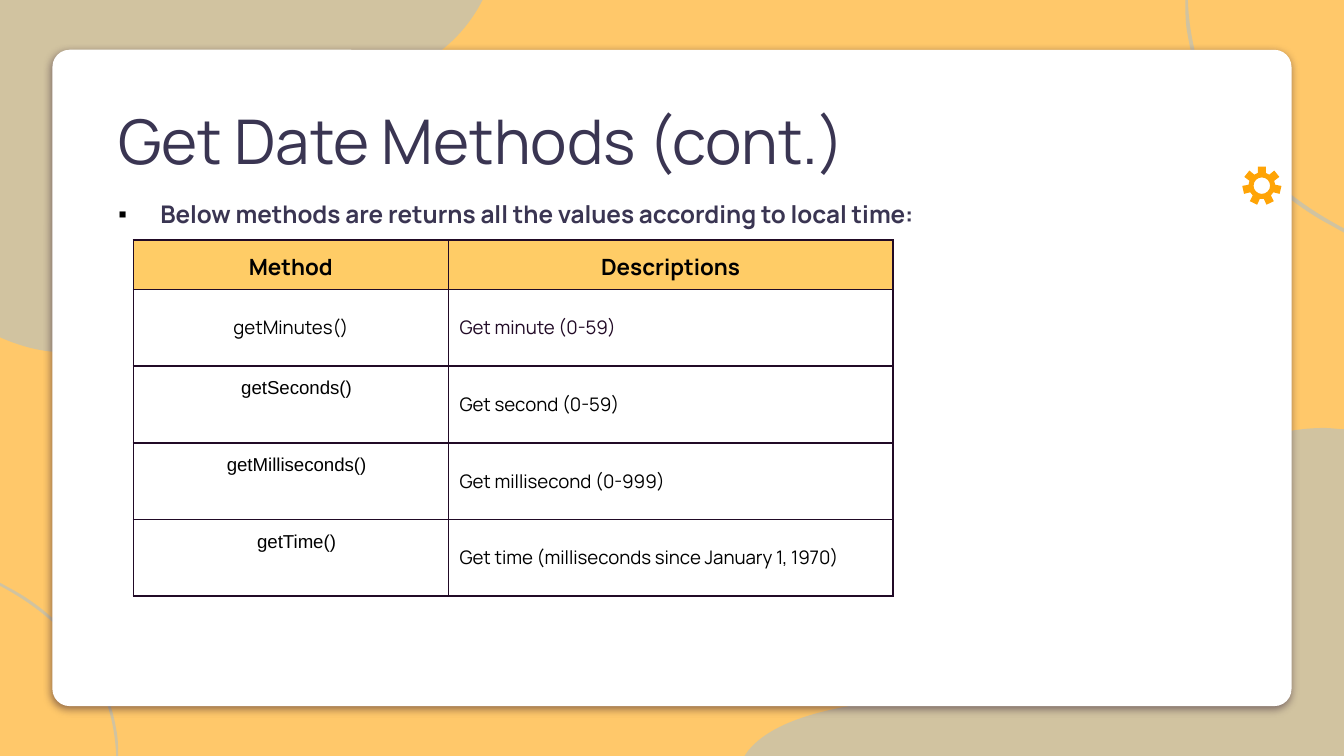
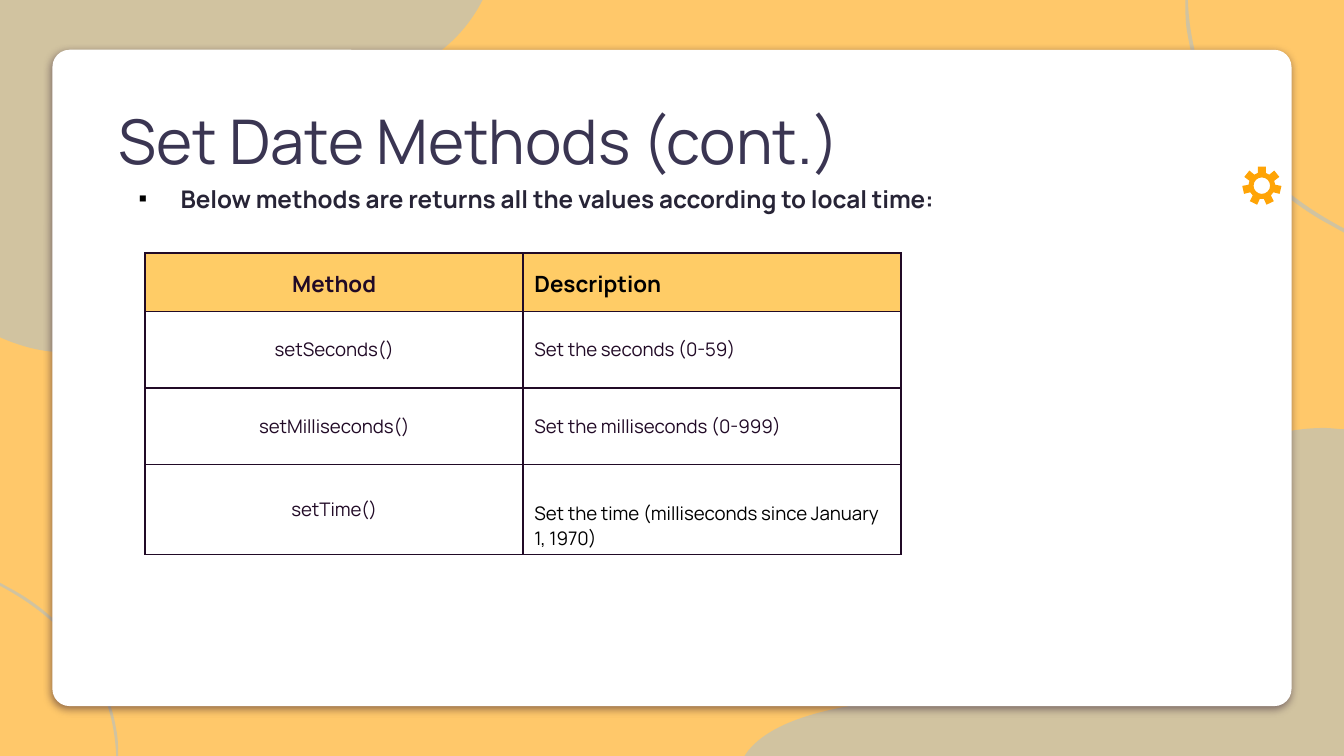
from math import cos, radians, sin

from lxml import etree
from pptx import Presentation
from pptx.dml.color import RGBColor
from pptx.enum.shapes import MSO_SHAPE
from pptx.enum.text import MSO_ANCHOR, MSO_AUTO_SIZE, PP_ALIGN
from pptx.oxml.ns import qn
from pptx.util import Pt

ROUND = MSO_SHAPE.ROUNDED_RECTANGLE
TOP, MIDDLE = MSO_ANCHOR.TOP, MSO_ANCHOR.MIDDLE
LEFT, CENTER = PP_ALIGN.LEFT, PP_ALIGN.CENTER
FIXED, GROW = MSO_AUTO_SIZE.NONE, MSO_AUTO_SIZE.SHAPE_TO_FIT_TEXT

SAND, BLUE, WHITE, BLACK = "FFC86A", "A0BFDB", "FFFFFF", "000000"
GOLD, ORANGE, INK, PLUM, DARK = "FFCC66", "FFA406", "3A3552", "210A26", "272436"
FONT = "Manrope"
WIDE, HIGH = 720, 405

# Outlines in points: two numbers make a line, six make a curve
RING = [(1.4, 0), (2.2, 25.9, 10.8, 52.6, 25.9, 73.4),
        (41.8, 94.3, 61.9, 110.2, 85, 122.4), (85, 124.6),
        (82.1, 123.1, 79.9, 121.7, 77, 120.2),
        (58.3, 110.2, 41.8, 95.8, 28.1, 79.2),
        (14.4, 61.9, 5, 41, 1.4, 19.4), (0, 13, 0, 6.5, 0, 0)]
CLOUD = [(32.4, 188.6), (16.6, 188.6, 0, 180.7, 0, 180.7), (0, 0), (258.5, 0),
         (225.4, 65.5, 123.1, 52.6, 80.6, 65.5),
         (38.2, 78.5, 85, 141.1, 61.9, 174.2),
         (54, 185.8, 43.2, 188.6, 32.4, 188.6)]
HILL = [(0, 175.7), (11.5, 157, 50.4, 144.7, 113.8, 144.7),
        (116, 144.7, 118.1, 144.7, 121, 144.7),
        (121.7, 144.7, 122.4, 144.7, 123.1, 144.7),
        (218.2, 144.7, 177.8, 61.2, 248.4, 17.3),
        (267.1, 5.8, 292.3, 0, 310.3, 0),
        (314.6, 0, 318.2, 0.7, 321.1, 0.7), (321.1, 175.7)]


def hue(code):
    return RGBColor.from_string(code)


def node(parent, tag, **attrs):
    """Append a DrawingML element."""
    item = etree.SubElement(parent, qn("a:" + tag))
    for key, value in attrs.items():
        item.set(key, str(value))
    return item


def paint(shape, code, alpha=None):
    shape.shadow.inherit = False
    shape.fill.solid()
    shape.fill.fore_color.rgb = hue(code)
    shape.line.fill.background()
    if alpha:
        clr = shape.element.spPr.find(".//" + qn("a:srgbClr"))
        node(clr, "alpha", val=alpha * 1000)


def style(para, size, code, bold=False, font=FONT):
    for run in para.runs:
        run.font.name, run.font.size, run.font.bold = font, Pt(size), bold
        run.font.color.rgb = hue(code)


def place(shape, box):
    shape.left, shape.top, shape.width, shape.height = map(Pt, box)


def bend(shape, loops):
    """Join the three lines that stand for a curve into one."""
    lines = iter(list(shape.element.spPr.iter(qn("a:lnTo"))))
    for part in (part for loop in loops for part in loop[1:]):
        first = next(lines)
        if len(part) == 6:
            first.tag = qn("a:cubicBezTo")
            for _ in range(2):
                line = next(lines)
                first.append(line[0])
                line.getparent().remove(line)


def draw(slide, loops, x, y, scale=1):
    """Draw closed loops with their origin at x, y."""
    def dots(part):
        return [(Pt(x + scale * a), Pt(y + scale * b))
                for a, b in zip(part[::2], part[1::2])]

    pen = None
    for loop in loops:
        start = dots(loop[0])[0]
        if pen:
            pen.move_to(*start)
        else:
            pen = slide.shapes.build_freeform(*start, scale=1.0)
        pen.add_line_segments([dot for part in loop[1:] for dot in dots(part)],
                              close=True)
    shape = pen.convert_to_shape()
    bend(shape, loops)
    return shape


def frame(slide, box):
    """Build the shared backdrop and move it to the layout."""
    x, y, w, h = box
    layout = slide.slide_layout
    layout.background.fill.solid()
    layout.background.fill.fore_color.rgb = hue(SAND)

    # Corner waves; the lower ring is the upper one turned and reduced
    parts = [draw(slide, [RING], x + w - 85, y),
             draw(slide, [CLOUD], x, y),
             draw(slide, [HILL], x + w - 321.1, y + h - 175.7),
             draw(slide, [RING], x + 63.3, y + h, -0.745)]
    for part in parts:
        paint(part, BLUE, 48)

    # White card with a soft shadow
    card = slide.shapes.add_shape(ROUND, Pt(x + 28.1), Pt(y + 26.7),
                                  Pt(w - 56.2), Pt(351.6))
    card.adjustments[0] = 0.026
    paint(card, WHITE)
    glow = node(card.element.spPr.find(qn("a:effectLst")), "outerShdw",
                blurRad=Pt(4.5), dist=Pt(1.5), dir=5400000,
                algn="bl", rotWithShape=0)
    node(node(glow, "srgbClr", val=PLUM), "alpha", val=50000)

    for i, part in enumerate(parts + [card]):
        part.element.nvSpPr.cNvPr.set("id", str(20 + i))
        layout.shapes.element.insert(2 + i, part.element)


def gear(slide, box):
    x, y, size = box
    mid = size / 2

    def spot(r, deg):
        return mid + mid * r * sin(radians(deg)), mid - mid * r * cos(radians(deg))

    teeth = [spot(r, k * 360 / 7 + deg) for k in range(7)
             for r, deg in ((0.68, -17), (1, -12), (1, 12), (0.68, 17))]
    # Four quarter curves, run against the teeth
    hole = [spot(0.42, 0)]
    for deg in (0, -90, -180, -270):
        hole.append(spot(0.48, deg - 28.9) + spot(0.48, deg - 61.1)
                    + spot(0.42, deg - 90))
    paint(draw(slide, [hole, teeth], x, y), ORANGE)


def head(slide, box, text):
    title = slide.shapes.title
    place(title, box)
    frame = title.text_frame
    frame.text = text
    frame.word_wrap, frame.auto_size = True, FIXED
    frame.vertical_anchor = TOP
    frame.margin_left = frame.margin_right = Pt(7.2)
    frame.margin_top = frame.margin_bottom = Pt(7.2)
    para = frame.paragraphs[0]
    para.alignment, para.line_spacing = LEFT, 1.15
    style(para, 33, INK)


def lead(slide, box, text, code, gap):
    """Fill the body placeholder with one bullet."""
    body = slide.placeholders[1]
    place(body, box)
    frame = body.text_frame
    frame.text = text
    frame.word_wrap, frame.auto_size = True, GROW
    frame.vertical_anchor = TOP
    para = frame.paragraphs[0]
    para.line_spacing, para.space_before = gap, Pt(0)
    style(para, 13, code, True)
    props = para._p.get_or_add_pPr()
    props.set("marL", str(Pt(22.5)))
    props.set("indent", str(Pt(-22.5)))
    node(node(props, "buClr"), "srgbClr", val=BLACK)
    node(props, "buFont", typeface="Arial")
    node(props, "buChar", char="▪")


def edge(cell):
    props = cell._tc.get_or_add_tcPr()
    for side in ("lnL", "lnR", "lnT", "lnB"):
        line = node(props, side, w=Pt(1))
        node(node(line, "solidFill"), "srgbClr", val=PLUM)


def fill(cell, text, size=10, code=BLACK, bold=False, font=FONT, align=LEFT,
         anchor=MIDDLE, pad=(6, 8.5, 6, 8.5), back=WHITE):
    edge(cell)
    cell.fill.solid()
    cell.fill.fore_color.rgb = hue(back)
    cell.vertical_anchor = anchor
    (cell.margin_left, cell.margin_top,
     cell.margin_right, cell.margin_bottom) = map(Pt, pad)
    cell.text = text
    para = cell.text_frame.paragraphs[0]
    para.alignment = align
    style(para, size, code, bold, font)


def grid(slide, box, cols, high, rows):
    """Each cell is a text and the looks that differ from the usual."""
    x, y = box
    table = slide.shapes.add_table(len(rows), len(cols), Pt(x), Pt(y),
                                   Pt(sum(cols)), Pt(sum(high))).table
    table.horz_banding = False
    for i, size in enumerate(cols):
        table.columns[i].width = Pt(size)
    for i, row in enumerate(rows):
        table.rows[i].height = Pt(high[i])
        for j, (text, looks) in enumerate(row):
            fill(table.cell(i, j), text, **looks)


# Looks of table cells
TOPIC = dict(size=12, bold=True, back=GOLD)
MIDTOP = dict(TOPIC, align=CENTER)
NAME = dict(align=CENTER)
TINT = dict(code=PLUM)
CALL = dict(NAME, code=PLUM)
PLAIN = dict(NAME, font="Arial", anchor=TOP, pad=(12, 6.3, 6, 6))
LOW = dict(anchor=TOP, pad=(6, 19.5, 6, 1))

GETS = [
    [("Method", dict(MIDTOP, pad=(2, 6, 2, 6))),
     ("Descriptions", dict(MIDTOP, pad=(6, 6, 6, 6)))],
    [("getMinutes()", NAME), ("Get minute (0-59)", TINT)],
    [("getSeconds()", PLAIN), ("Get second (0-59)", {})],
    [("getMilliseconds()", PLAIN), ("Get millisecond (0-999)", {})],
    [("getTime()", PLAIN),
     ("Get time (milliseconds since January 1, 1970)", {})],
]
SETS = [
    [("Method", dict(MIDTOP, code=PLUM)), ("Description", TOPIC)],
    [("setSeconds()", CALL), ("Set the seconds (0-59)", TINT)],
    [("setMilliseconds()", CALL), ("Set the milliseconds (0-999)", TINT)],
    [("setTime()", CALL),
     ("Set the time (milliseconds since January 1, 1970)", LOW)],
]
NOTE = "Below methods are returns all the values according to local time:"


def page(slide, title, note, table):
    gear(slide, (665.5, 89, 21))
    head(slide, (56.2, 42.2, 538.6, 56.2), title)
    lead(slide, *note)
    grid(slide, *table)


def main():
    deck = Presentation()
    deck.slide_width, deck.slide_height = Pt(WIDE), Pt(HIGH)
    layout = deck.slide_layouts[1]
    first, second = [deck.slides.add_slide(layout) for _ in range(2)]
    frame(first, (0, 0, WIDE, HIGH))
    page(first, "Get Date Methods (cont.)",
         ((56.2, 95.5, 559.4, 28.8), NOTE, INK, 1.5),
         ((71.5, 128.7), (168.7, 238.2), [26] + [41.1] * 4, GETS))
    page(second, "Set Date Methods (cont.)",
         ((67, 95, 536.4, 23), NOTE, DARK, 1),
         ((77.8, 135.5), (202.5, 202.5), [31, 41, 41, 48.2], SETS))
    deck.save("out.pptx")


if __name__ == "__main__":
    main()
